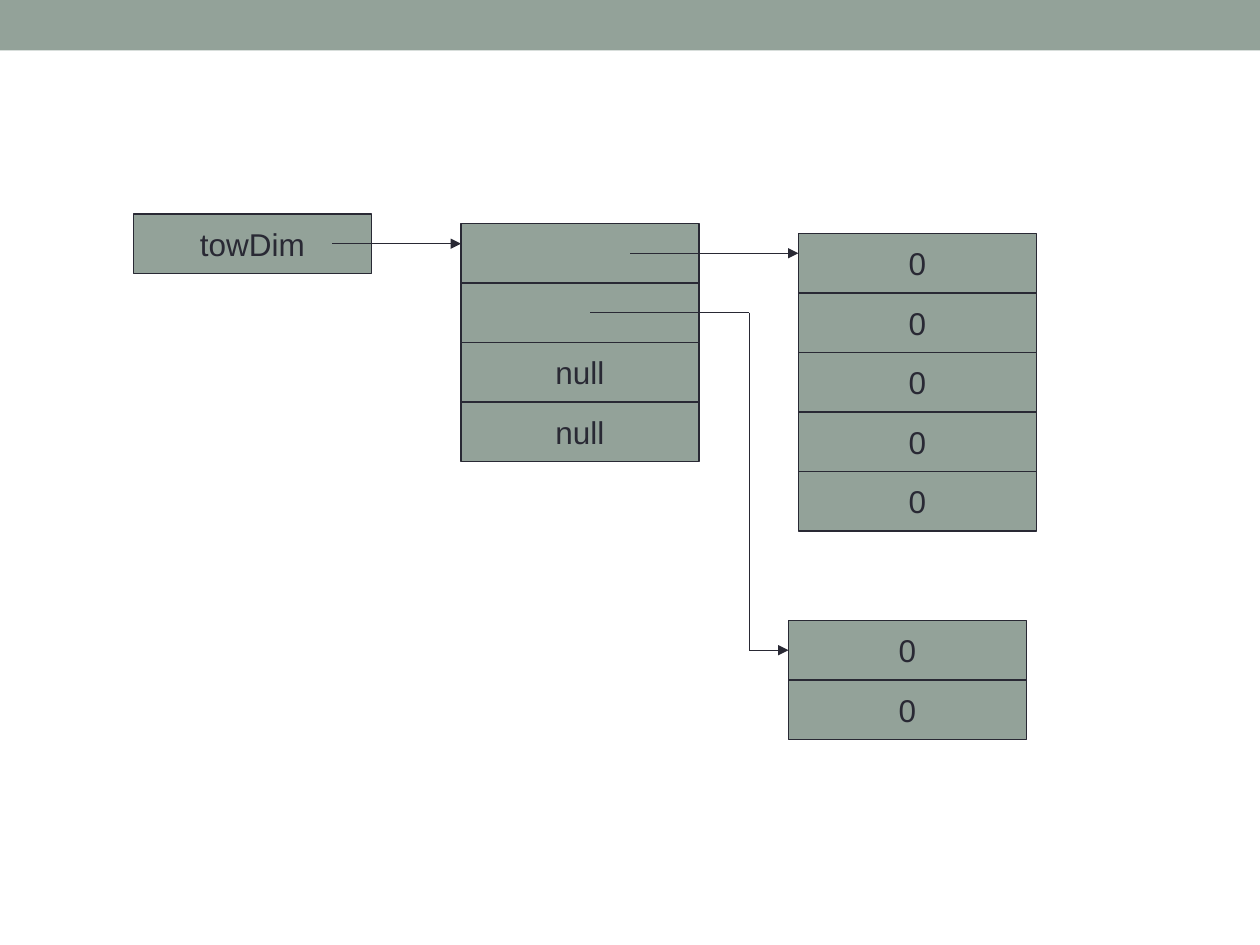
from lxml import etree
from pptx import Presentation
from pptx.dml.color import RGBColor
from pptx.enum.shapes import MSO_CONNECTOR, MSO_SHAPE
from pptx.enum.text import MSO_ANCHOR, PP_ALIGN
from pptx.oxml.ns import qn
from pptx.util import Pt

RECTANGLE = MSO_SHAPE.RECTANGLE
STRAIGHT = MSO_CONNECTOR.STRAIGHT
MIDDLE = MSO_ANCHOR.MIDDLE
CENTER = PP_ALIGN.CENTER

SAGE = RGBColor(0x93, 0xA2, 0x99)
INK = RGBColor(0x29, 0x29, 0x34)
LINE_WIDTH = Pt(0.75)

PX = 914400 / 252  # 252 px to the inch
SLIDE_WIDTH, SLIDE_HEIGHT = 2520, 1890
BAND_HEIGHT = 101
CELL_WIDTH, CELL_HEIGHT = 476, 119
LEFT_SIDE = 1

# name: (left, top, cell texts from top to bottom)
STACKS = {
    "variable": (267, 428, ["towDim"]),
    "rows": (922, 447, ["", "", "null", "null"]),
    "first row": (1597, 467, ["0"] * 5),
    "second row": (1577, 1241, ["0"] * 2),
}
VARIABLE_START = 665
FIRST_ROW_START = 1260
SECOND_ROW_START = 1181
ELBOW = 1499


def emu(px):
    return round(px * PX)


def add_rectangle(slide, left, top, width, height):
    shape = slide.shapes.add_shape(
        RECTANGLE, emu(left), emu(top), emu(width), emu(height))
    shape.shadow.inherit = False
    shape.fill.solid()
    shape.fill.fore_color.rgb = SAGE
    return shape


def add_cell(slide, left, top, text):
    cell = add_rectangle(slide, left, top, CELL_WIDTH, CELL_HEIGHT)
    cell.line.color.rgb = INK
    cell.line.width = LINE_WIDTH
    if text:
        frame = cell.text_frame
        frame.word_wrap = False
        frame.vertical_anchor = MIDDLE
        paragraph = frame.paragraphs[0]
        paragraph.text = text
        paragraph.alignment = CENTER
        paragraph.font.name = "Arial"
        paragraph.font.size = Pt(18)
        paragraph.font.color.rgb = INK
    return cell


def add_stack(slide, left, top, texts):
    return [add_cell(slide, left, top + row * CELL_HEIGHT, text)
            for row, text in enumerate(texts)]


def middle(cell):
    return cell.top + cell.height // 2


def add_line(slide, start, end, arrow=False):
    """Draw a line between two points in EMU, with an arrowhead at its end if asked."""
    connector = slide.shapes.add_connector(STRAIGHT, *start, *end)
    connector.line.color.rgb = INK
    connector.line.width = LINE_WIDTH
    if arrow:
        line = connector.line._get_or_add_ln()
        etree.SubElement(line, qn("a:tailEnd"), type="triangle")
    etree.SubElement(connector._element.spPr, qn("a:effectLst"))
    return connector


def main():
    presentation = Presentation()
    presentation.slide_width = emu(SLIDE_WIDTH)
    presentation.slide_height = emu(SLIDE_HEIGHT)
    slide = presentation.slides.add_slide(presentation.slide_layouts[6])

    band = add_rectangle(slide, 0, 0, SLIDE_WIDTH, BAND_HEIGHT)
    band.line.fill.background()

    cells = {name: add_stack(slide, *stack) for name, stack in STACKS.items()}
    variable = cells["variable"][0]
    first_pointer, second_pointer = cells["rows"][:2]
    first_target = cells["first row"][0]
    second_target = cells["second row"][0]

    for start, source, target in [
        (VARIABLE_START, variable, first_pointer),
        (FIRST_ROW_START, first_pointer, first_target),
    ]:
        y = middle(source)
        add_line(slide, (emu(start), y), (target.left, y), arrow=True)

    upper, lower = middle(second_pointer), middle(second_target)
    elbow = emu(ELBOW)
    add_line(slide, (emu(SECOND_ROW_START), upper), (elbow, upper))
    add_line(slide, (elbow, upper), (elbow, lower))
    last = add_line(slide, (elbow, lower), (second_target.left, lower), arrow=True)
    last.end_connect(second_target, LEFT_SIDE)

    presentation.save("out.pptx")


if __name__ == "__main__":
    main()
